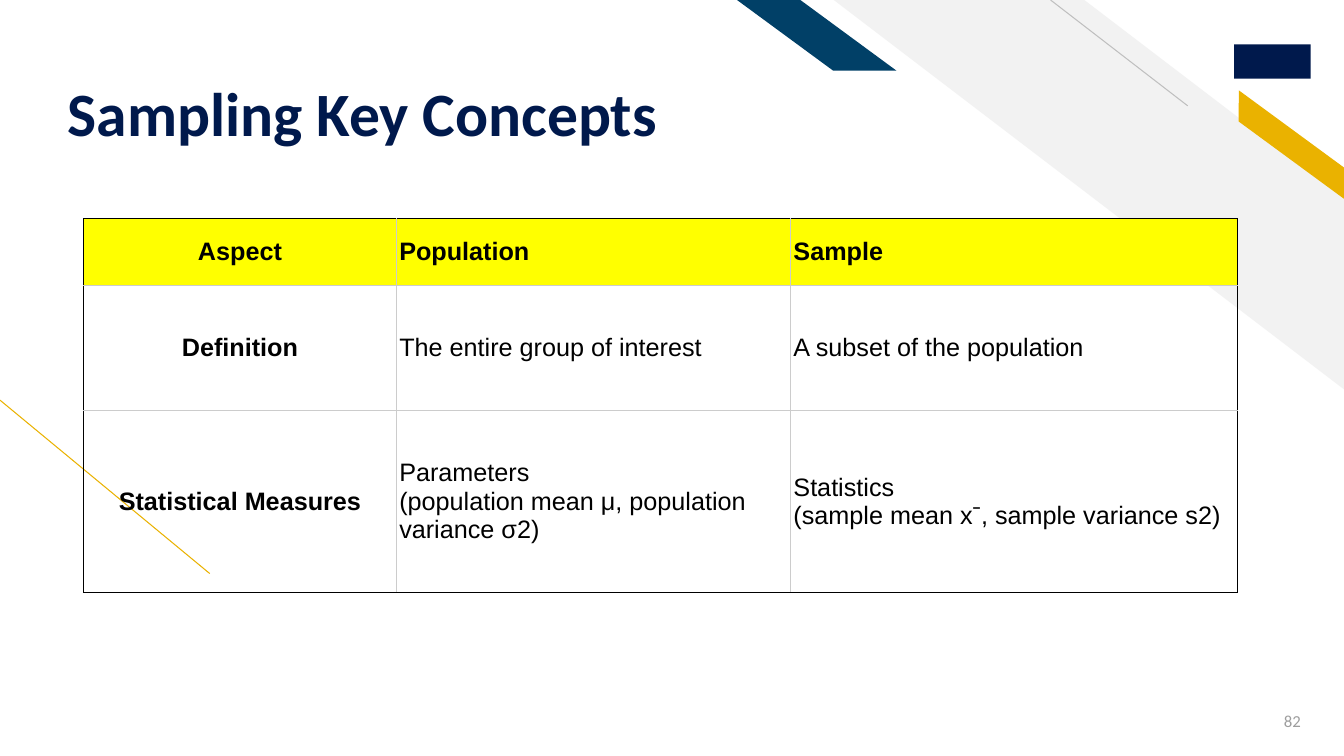
from dataclasses import dataclass

import pptx
import pptx.dml.color
import pptx.enum.shapes
import pptx.enum.text
import pptx.oxml
import pptx.oxml.ns
import pptx.util
from lxml import etree

ALIGN = pptx.enum.text.PP_ALIGN
ANCHOR = pptx.enum.text.MSO_ANCHOR
PRESET = pptx.enum.shapes.MSO_SHAPE
PX = 9144  # 100 px to the inch


@dataclass(frozen=True)
class Theme:
    navy: str = "00194C"
    blue: str = "014067"
    gold: str = "EAB200"
    pale: str = "F2F2F2"
    grey_line: str = "BFBFBF"
    cell_line: str = "CCCCCC"
    black: str = "000000"
    highlight: str = "FFFF00"
    number_grey: str = "9E9E9E"
    heading_font: str = "Calibri"
    table_font: str = "Arial"
    title_size: int = 44
    table_size: int = 18
    number_size: int = 12
    line_width: float = 0.75


def px(length):
    return pptx.util.Emu(length * PX)


def rgb(code):
    return pptx.dml.color.RGBColor.from_string(code)


def assign(target, values):
    for name, value in values.items():
        setattr(target, name, value)


class SlideBuilder:
    def __init__(self, slide, theme):
        self.slide = slide
        self.theme = theme

    def put_words(self, frame, words, size, font, color, bold=False,
                  align=ALIGN.LEFT, spacing=None):
        """Fill a text frame with one paragraph; \\v starts a new line in it."""
        paragraph = frame.paragraphs[0]
        paragraph.text = words
        assign(paragraph, {"alignment": align, "line_spacing": spacing})
        for run in paragraph.runs:
            assign(run.font, {"size": pptx.util.Pt(size), "name": font, "bold": bold})
            run.font.color.rgb = rgb(color)

    def title(self, words, box):
        heading = self.slide.shapes.title
        assign(heading, dict(zip(("left", "top", "width", "height"), map(px, box))))
        assign(heading.text_frame, {
            "vertical_anchor": ANCHOR.BOTTOM, "word_wrap": True, "margin_bottom": 0,
            "auto_size": pptx.enum.text.MSO_AUTO_SIZE.NONE})
        self.put_words(heading.text_frame, words, self.theme.title_size,
                       self.theme.heading_font, self.theme.navy, bold=True, spacing=0.9)

    def page_number(self, number, box):
        frame = self.slide.shapes.add_textbox(*map(px, box)).text_frame
        assign(frame, {"word_wrap": True, "vertical_anchor": ANCHOR.MIDDLE})
        self.put_words(frame, number, self.theme.number_size, self.theme.heading_font,
                       self.theme.number_grey, align=ALIGN.RIGHT)

    def band(self, preset, box, color, slant=None, rotation=0):
        """Add a filled shape; a slant mirrors it and sets its adjustment."""
        shape = self.slide.shapes.add_shape(preset, *map(px, box))
        shape.shadow.inherit = False
        shape.fill.solid()
        shape.fill.fore_color.rgb = rgb(color)
        shape.line.fill.background()
        shape.rotation = rotation
        if slant is not None:
            shape.adjustments[0] = slant
            shape.element.spPr.get_or_add_xfrm().set("flipH", "1")

    def line(self, start, end, color):
        connector = self.slide.shapes.add_connector(
            pptx.enum.shapes.MSO_CONNECTOR.STRAIGHT, *map(px, (*start, *end)))
        connector.line.color.rgb = rgb(color)
        connector.line.width = pptx.util.Pt(self.theme.line_width)
        etree.SubElement(connector.element.spPr, pptx.oxml.ns.qn("a:effectLst"))

    def border(self, cell, side, color):
        width = pptx.util.Pt(self.theme.line_width)
        cell._tc.get_or_add_tcPr().append(pptx.oxml.parse_xml(
            f'<a:ln{side} {pptx.oxml.ns.nsdecls("a")} w="{width}">'
            f'<a:solidFill><a:srgbClr val="{color}"/></a:solidFill></a:ln{side}>'))

    def table(self, rows, corner, widths, heights):
        """Add a grid with a black outer frame, a lit header and bold row names."""
        grid = self.slide.shapes.add_table(
            len(heights), len(widths),
            *map(px, (*corner, sum(widths), sum(heights)))).table
        assign(grid, {"first_row": False, "horz_banding": False})
        for column, width in zip(grid.columns, widths):
            column.width = px(width)
        for row, height in zip(grid.rows, heights):
            row.height = px(height)
        for r, row in enumerate(rows):
            for c, words in enumerate(row):
                self.cell(grid.cell(r, c), words, header=r == 0, row_name=c == 0,
                          outer={"L": c == 0, "R": c == len(widths) - 1,
                                 "T": r == 0, "B": r == len(heights) - 1})

    def cell(self, cell, words, header, row_name, outer):
        for side, is_outer in outer.items():
            self.border(cell, side,
                        self.theme.black if is_outer else self.theme.cell_line)
        if header:
            cell.fill.solid()
            cell.fill.fore_color.rgb = rgb(self.theme.highlight)
        else:
            cell.fill.background()
        assign(cell, {"margin_left": px(3), "margin_right": px(3),
                      "margin_top": px(2), "margin_bottom": px(2),
                      "vertical_anchor": ANCHOR.MIDDLE})
        self.put_words(cell.text_frame, words, self.theme.table_size,
                       self.theme.table_font, self.theme.black,
                       bold=header or row_name,
                       align=ALIGN.CENTER if row_name else ALIGN.LEFT)


CONCEPTS = [
    ["Aspect", "Population", "Sample"],
    ["Definition", "The entire group of interest", "A subset of the population"],
    ["Statistical Measures",
     "Parameters\v(population mean μ, population variance σ2)",
     "Statistics\v(sample mean xˉ, sample variance s2)"],
]


def main():
    deck = pptx.Presentation()
    assign(deck, {"slide_width": px(1333), "slide_height": px(750)})
    theme = Theme()
    title_only = deck.slide_layouts.get_by_name("Title Only")
    page = SlideBuilder(deck.slides.add_slide(title_only), theme)

    page.line((208, 569), (0, 397), theme.gold)
    page.band(PRESET.DIAGONAL_STRIPE, (827, 0, 507, 387), theme.pale, slant=0.51)
    page.line((1178, 105), (1042, 0), theme.grey_line)
    page.band(PRESET.PARALLELOGRAM, (1207, 131, 148, 25), theme.gold,
              slant=0.72, rotation=36.3)
    page.band(PRESET.RECTANGLE, (1224, 44, 76, 34), theme.navy)
    page.band(PRESET.PARALLELOGRAM, (731, 0, 158, 70), theme.blue, slant=1.36)

    page.title("Sampling Key Concepts", (57, 23, 911, 126))
    page.page_number("82", (1219, 695, 81, 40))
    page.table(CONCEPTS, corner=(83, 217), widths=(310, 391, 443),
               heights=(66, 124, 181))
    deck.save("out.pptx")


if __name__ == "__main__":
    main()
